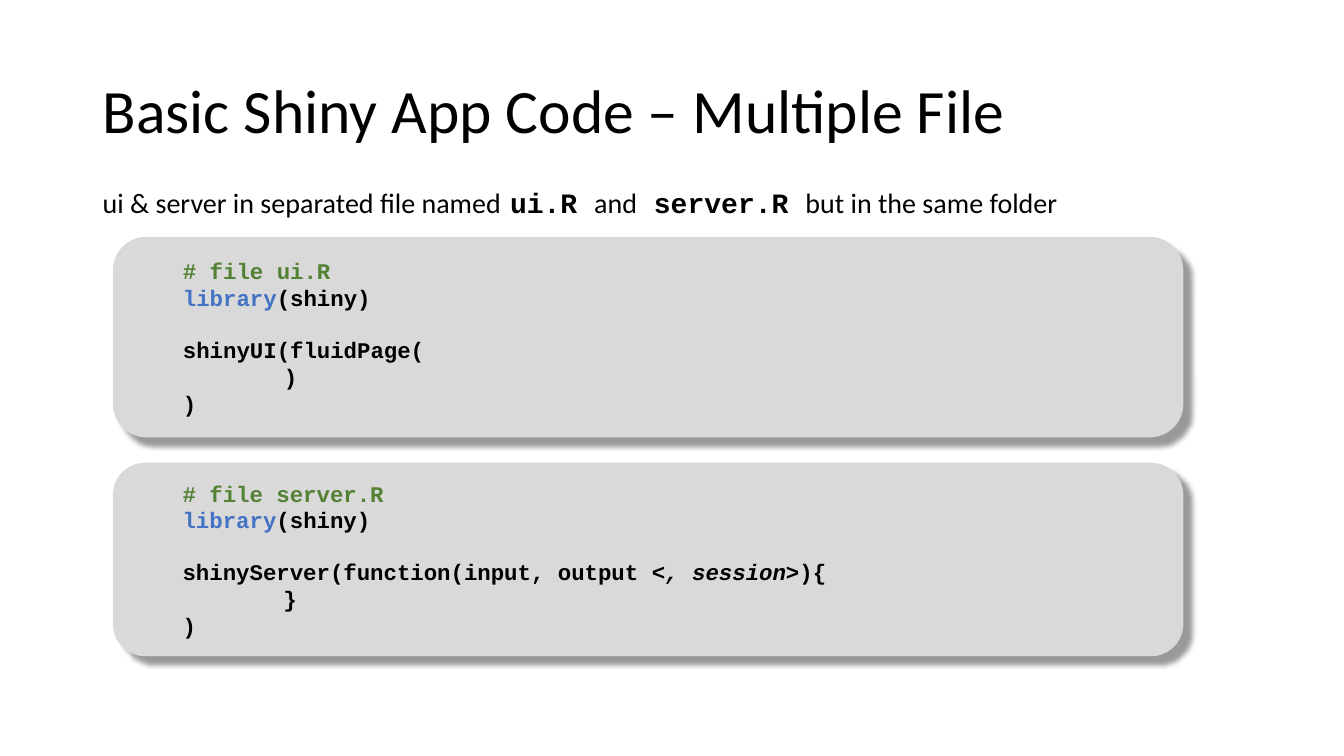
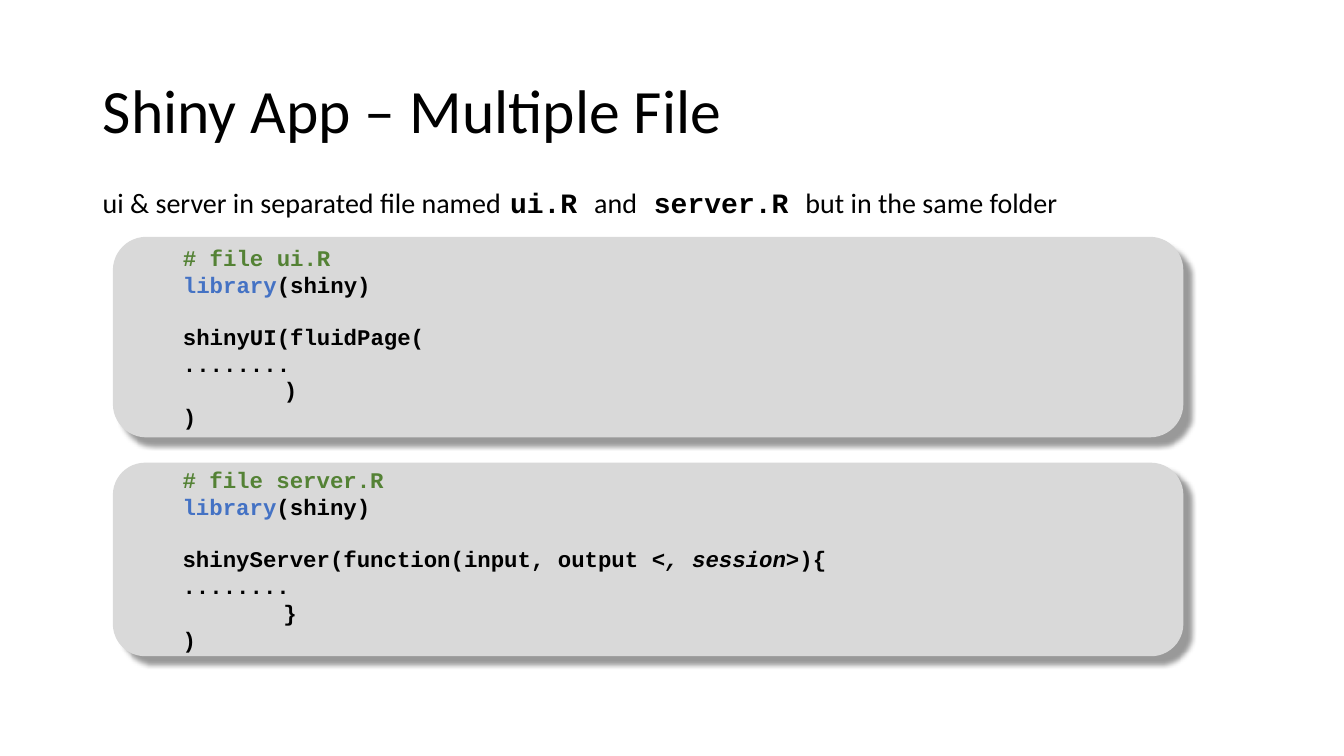
from dataclasses import dataclass

import pptx
import pptx.dml.color
import pptx.enum.shapes
import pptx.enum.text
import pptx.oxml
import pptx.oxml.ns
import pptx.util

# Shared style
SLIDE_WIDTH = pptx.util.Inches(13.333)
SLIDE_HEIGHT = pptx.util.Inches(7.5)
TITLE_ONLY_LAYOUT = 5
BODY_FONT = "Calibri"
CODE_FONT = "Courier New"
CODE_SIZE = 16
CODE_INDENT = 0.5
NESTED_INDENT = 1.5
CODE_LINE_GAP = 18
BLACK = pptx.dml.color.RGBColor(0x00, 0x00, 0x00)
PANEL_GREY = pptx.dml.color.RGBColor(0xD9, 0xD9, 0xD9)
COMMENT_GREEN = pptx.dml.color.RGBColor(0x54, 0x82, 0x35)
KEYWORD_BLUE = pptx.dml.color.RGBColor(0x44, 0x72, 0xC4)

SHADOW_XML = (
    f'<a:outerShdw {pptx.oxml.ns.nsdecls("a")} blurRad="50800" dist="101600" '
    'dir="2700000" algn="tl" rotWithShape="0"><a:srgbClr val="000000">'
    '<a:alpha val="40000"/></a:srgbClr></a:outerShdw>'
)


@dataclass(frozen=True)
class Box:
    """Place and size as percentages of the slide."""
    left: float
    top: float
    width: float
    height: float

    def place(self) -> tuple[int, int, int, int]:
        return (
            round(SLIDE_WIDTH * self.left / 100),
            round(SLIDE_HEIGHT * self.top / 100),
            round(SLIDE_WIDTH * self.width / 100),
            round(SLIDE_HEIGHT * self.height / 100),
        )


@dataclass(frozen=True)
class Span:
    text: str
    font: str = CODE_FONT
    size: float = CODE_SIZE
    color: pptx.dml.color.RGBColor = BLACK
    bold: bool = True
    italic: bool = False


@dataclass(frozen=True)
class CodeLine:
    spans: tuple[Span, ...]
    indent: float = CODE_INDENT
    space_before: float = 0


@dataclass(frozen=True)
class CodePanel:
    box: Box
    file_name: str
    call: tuple[Span, ...]
    inner_close: str

    def lines(self, body: str) -> list[CodeLine]:
        """The file's code, with the body line left out when it is empty."""
        body_lines = [CodeLine((Span(body),))] if body else []
        return [
            CodeLine((Span(f"# file {self.file_name}", color=COMMENT_GREEN),)),
            CodeLine((Span("library", color=KEYWORD_BLUE), Span("(shiny)"))),
            CodeLine(self.call, space_before=CODE_LINE_GAP),
            *body_lines,
            CodeLine((Span(self.inner_close),), indent=NESTED_INDENT),
            CodeLine((Span(")"),)),
        ]


@dataclass(frozen=True)
class SlideContent:
    title: str
    body: str = ""


# Content
TITLE_BOX = Box(6.9, 5.33, 86.25, 19.33)
INTRO_BOX = Box(6.9, 23.07, 86.25, 7.47)
INTRO = (
    Span("ui & server in separated file named", BODY_FONT, 20, bold=False),
    Span(" ", BODY_FONT, 28, bold=False),
    Span("ui.R ", size=20),
    Span("and", BODY_FONT, 20, bold=False),
    Span(" server.R ", size=20),
    Span("but in the same folder", BODY_FONT, 20, bold=False),
)
PANELS = (
    CodePanel(Box(8.4, 31.33, 79.65, 26.53), "ui.R",
              (Span("shinyUI(fluidPage("),), ")"),
    CodePanel(Box(8.4, 61.2, 79.65, 25.6), "server.R",
              (Span("shinyServer(function(input, output "),
               Span("<, session>", italic=True), Span("){")), "}"),
)
SLIDES = (
    SlideContent("Basic Shiny App Code – Multiple File"),
    SlideContent("Shiny App – Multiple File", body="........"),
)


# Drawing
def add_spans(paragraph, spans: tuple[Span, ...]) -> None:
    paragraph.alignment = pptx.enum.text.PP_ALIGN.LEFT
    for span in spans:
        run = paragraph.add_run()
        run.text = span.text
        run.font.name = span.font
        run.font.size = pptx.util.Pt(span.size)
        run.font.bold = span.bold
        run.font.italic = span.italic
        run.font.color.rgb = span.color


def add_title(slide, text: str) -> None:
    title = slide.shapes.title
    title.left, title.top, title.width, title.height = TITLE_BOX.place()
    title.text_frame.vertical_anchor = pptx.enum.text.MSO_ANCHOR.MIDDLE
    paragraph = title.text_frame.paragraphs[0]
    paragraph.line_spacing = 0.9
    add_spans(paragraph, (Span(text, BODY_FONT, 44, bold=False),))


def add_intro(slide) -> None:
    text_frame = slide.shapes.add_textbox(*INTRO_BOX.place()).text_frame
    text_frame.word_wrap = True
    paragraph = text_frame.paragraphs[0]
    paragraph.line_spacing = 0.9
    paragraph.space_before = pptx.util.Pt(10)
    add_spans(paragraph, INTRO)


def add_panel(slide, panel: CodePanel, body: str) -> None:
    shape = slide.shapes.add_shape(
        pptx.enum.shapes.MSO_SHAPE.ROUNDED_RECTANGLE, *panel.box.place())
    shape.fill.solid()
    shape.fill.fore_color.rgb = PANEL_GREY
    shape.line.fill.background()
    shape.shadow.inherit = False
    effects = shape.element.spPr.find(pptx.oxml.ns.qn("a:effectLst"))
    effects.append(pptx.oxml.parse_xml(SHADOW_XML))

    text_frame = shape.text_frame
    text_frame.word_wrap = True
    text_frame.vertical_anchor = pptx.enum.text.MSO_ANCHOR.MIDDLE
    for index, line in enumerate(panel.lines(body)):
        paragraph = text_frame.add_paragraph() if index else text_frame.paragraphs[0]
        paragraph.level = 1
        paragraph.space_before = pptx.util.Pt(line.space_before)
        properties = paragraph._p.get_or_add_pPr()
        properties.set("marL", str(pptx.util.Inches(line.indent)))
        properties.set("indent", "0")
        add_spans(paragraph, line.spans)


def main() -> None:
    presentation = pptx.Presentation()
    presentation.slide_width = SLIDE_WIDTH
    presentation.slide_height = SLIDE_HEIGHT
    layout = presentation.slide_layouts[TITLE_ONLY_LAYOUT]
    for content in SLIDES:
        slide = presentation.slides.add_slide(layout)
        add_title(slide, content.title)
        for panel in PANELS:
            add_panel(slide, panel, content.body)
        add_intro(slide)
    presentation.save("out.pptx")


if __name__ == "__main__":
    main()
